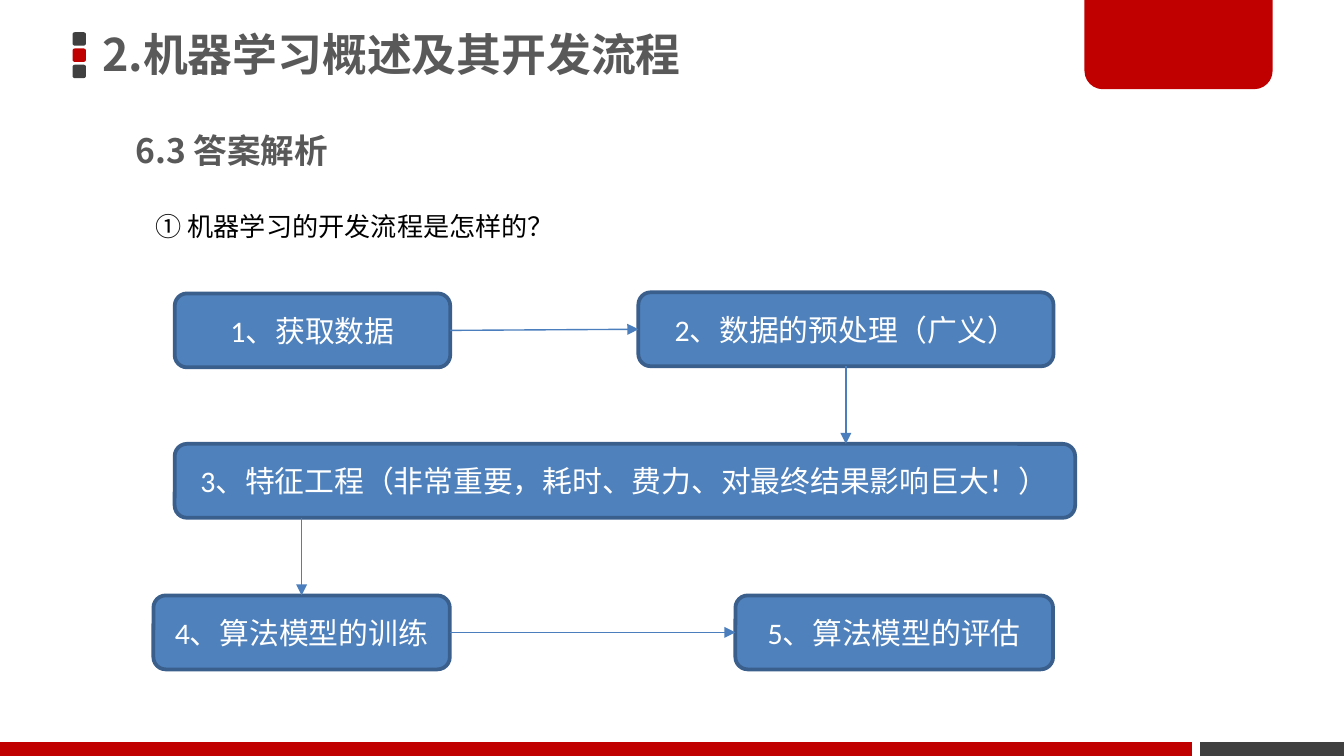
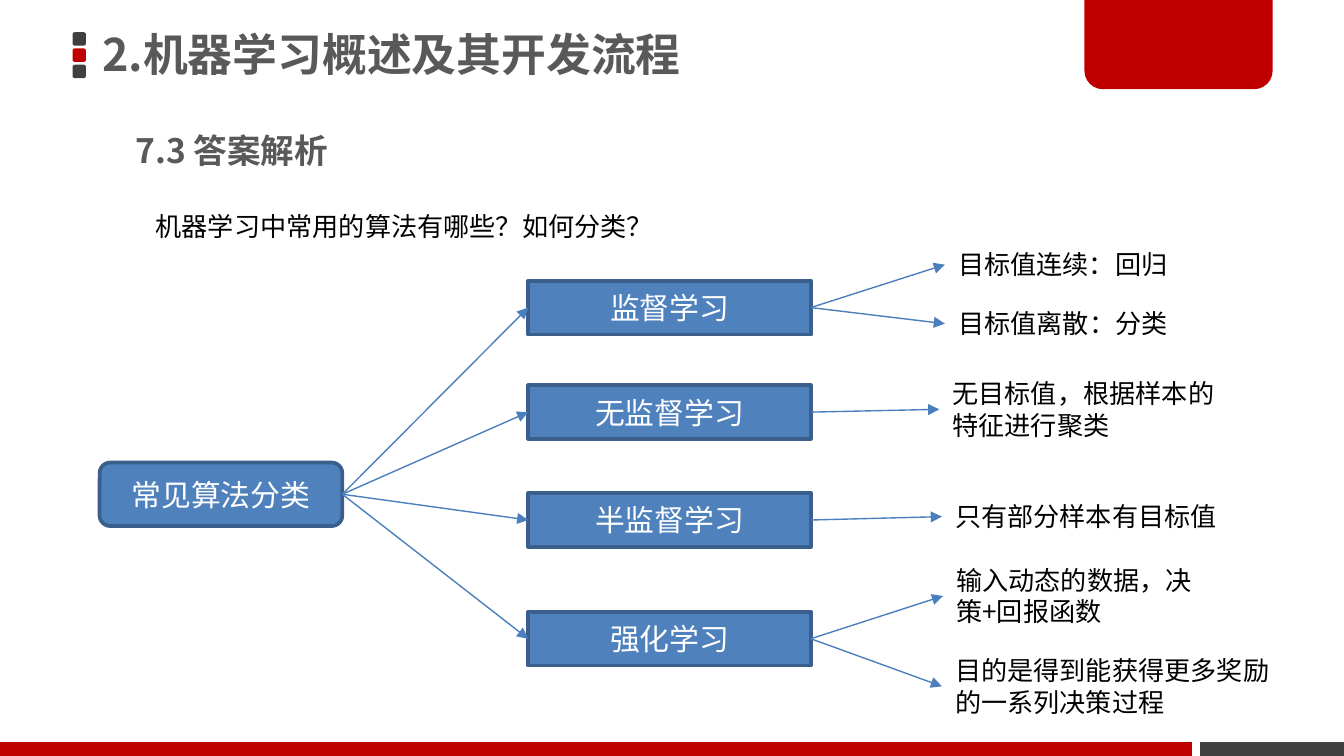
from dataclasses import dataclass
from typing import Optional

from lxml.etree import SubElement
from pptx import Presentation
from pptx.dml.color import RGBColor
from pptx.enum.shapes import MSO_CONNECTOR, MSO_SHAPE
from pptx.enum.text import MSO_ANCHOR, PP_ALIGN
from pptx.oxml.ns import qn
from pptx.shapes.base import BaseShape
from pptx.slide import Slide
from pptx.text.text import TextFrame
from pptx.util import Pt

COLORS = {
    "red": "C00000",
    "dark": "404040",
    "gray": "595959",
    "black": "000000",
    "white": "FFFFFF",
    "blue": "4F81BD",
    "edge": "3A5F8C",
    "arrow": "4B7EBC",
}
HAN = "Noto Sans CJK SC"
FONTS = {
    "title": {"size": Pt(24), "bold": True, "name": HAN},
    "head": {"size": Pt(18), "bold": True, "name": HAN},
    "note": {"size": Pt(14), "name": HAN},
    "node": {"size": Pt(16), "name": "Calibri"},
}
INKS = {"title": "gray", "head": "gray", "note": "black", "node": "white"}
TITLE = "2.机器学习概述及其开发流程"
TOP, LEFT, BOTTOM, RIGHT = range(4)


@dataclass
class Box:
    x: float
    y: float
    w: float
    h: float
    text: str = ""
    form: MSO_SHAPE = MSO_SHAPE.ROUNDED_RECTANGLE


@dataclass
class Deco:
    box: Box
    color: str
    bends: tuple[float, ...] = ()


@dataclass
class End:
    node: BaseShape
    side: int
    x: Optional[float] = None


@dataclass
class Branch:
    text: str
    y: float
    leaves: list[Box]


DECOS = [
    Deco(Box(38.9, 17.3 + 8.7 * row, 7.2, 7.2), color, (0.167,))
    for row, color in enumerate(("dark", "red", "dark"))
] + [
    Deco(Box(643, 397.6, 77, 7.4, form=MSO_SHAPE.RECTANGLE), "dark"),
    Deco(Box(581, -1.4, 100.8, 49.2, form=MSO_SHAPE.ROUND_2_SAME_RECTANGLE),
         "red", (0, 0.2)),
    Deco(Box(0, 397.6, 638.6, 7.4, form=MSO_SHAPE.RECTANGLE), "red"),
]

STEPS = [
    Box(93.6, 157.2, 147.6, 39.6, "1、获取数据"),
    Box(342, 156.6, 222.4, 39.6, "2、数据的预处理（广义）"),
    Box(93.6, 237.8, 482.4, 39.6,
        "3、特征工程（非常重要，耗时、费力、对最终结果影响巨大！）"),
    Box(82.2, 319, 158.8, 39.6, "4、算法模型的训练"),
    Box(394, 319, 170.2, 39.6, "5、算法模型的评估"),
]

ROOT = Box(53.4, 247.8, 130, 34, "常见算法分类")
TREE = [
    Branch("监督学习", 150.4, [
        Box(506.2, 129.6, 151.2, 24.4, "目标值连续：回归"),
        Box(506.2, 161.2, 161.2, 24.4, "目标值离散：分类"),
    ]),
    Branch("无监督学习", 206.4, [
        Box(503.2, 198.8, 157.6, 41, "无目标值，根据样本的特征进行聚类"),
    ]),
    Branch("半监督学习", 264.2, [
        Box(504.6, 264.6, 180.8, 24.4, "只有部分样本有目标值"),
    ]),
    Branch("强化学习", 327.8, [
        Box(505.2, 298.8, 146.2, 41, "输入动态的数据，决策+回报函数"),
        Box(504.6, 347.2, 189.4, 41, "目的是得到能获得更多奖励的一系列决策过程"),
    ]),
]


def tint(name: str) -> RGBColor:
    return RGBColor.from_string(COLORS[name])


def write(frame: TextFrame, text: str, style: str, align: PP_ALIGN) -> None:
    para = frame.paragraphs[0]
    para.alignment = align
    run = para.add_run()
    run.text = text
    for key, value in FONTS[style].items():
        setattr(run.font, key, value)
    run.font.color.rgb = tint(INKS[style])
    SubElement(run.font._element, qn("a:ea"), typeface=HAN)


def spot(box: Box) -> tuple[Pt, ...]:
    return tuple(Pt(size) for size in (box.x, box.y, box.w, box.h))


def shape(slide: Slide, box: Box, color: str) -> BaseShape:
    item = slide.shapes.add_shape(box.form, *spot(box))
    item.shadow.inherit = False
    item.fill.solid()
    item.fill.fore_color.rgb = tint(color)
    item.line.fill.background()
    return item


def node(slide: Slide, box: Box) -> BaseShape:
    item = shape(slide, box, "blue")
    item.line.color.rgb = tint("edge")
    item.line.width = Pt(2)
    item.text_frame.vertical_anchor = MSO_ANCHOR.MIDDLE
    write(item.text_frame, box.text, "node", PP_ALIGN.CENTER)
    return item


def label(slide: Slide, box: Box, style: str = "note",
          wrap: bool = True) -> BaseShape:
    item = slide.shapes.add_textbox(*spot(box))
    item.text_frame.word_wrap = wrap
    write(item.text_frame, box.text, style, PP_ALIGN.LEFT)
    return item


def point(end: End) -> tuple[int, int]:
    item = end.node
    mid = item.left + item.width // 2
    across = {LEFT: item.left, RIGHT: item.left + item.width}
    down = {TOP: item.top, BOTTOM: item.top + item.height}
    x = across.get(end.side, mid) if end.x is None else Pt(end.x)
    return x, down.get(end.side, item.top + item.height // 2)


def link(slide: Slide, start: End, stop: End) -> None:
    line = slide.shapes.add_connector(
        MSO_CONNECTOR.STRAIGHT, *point(start), *point(stop))
    for end, join in ((start, line.begin_connect), (stop, line.end_connect)):
        if end.x is None:
            join(end.node, end.side)
    line.line.color.rgb = tint("arrow")
    line.line.width = Pt(0.75)
    props = line._element.spPr
    SubElement(props.find(qn("a:ln")), qn("a:tailEnd"), type="triangle")
    SubElement(props, qn("a:effectLst"))


def page(deck: Presentation, head: str, ask: str, wide: float) -> Slide:
    slide = deck.slides.add_slide(deck.slide_layouts[5])
    for deco in DECOS:
        item = shape(slide, deco.box, deco.color)
        for index, bend in enumerate(deco.bends):
            item.adjustments[index] = bend
    title = slide.shapes.title
    place = spot(Box(49.7, -1.4, 424, 64))
    for key, value in zip(("left", "top", "width", "height"), place):
        setattr(title, key, value)
    frame = title.text_frame
    pads = {"margin_left": Pt(5), "margin_right": Pt(5),
            "margin_top": Pt(3), "margin_bottom": Pt(3),
            "vertical_anchor": MSO_ANCHOR.MIDDLE, "word_wrap": True}
    for key, value in pads.items():
        setattr(frame, key, value)
    write(frame, TITLE, "title", PP_ALIGN.LEFT)
    frame.paragraphs[0].line_spacing = 0.9
    label(slide, Box(65.5, 66.2, 276.5, 29), "head")if not head else label(
        slide, Box(65.5, 66.2, 276.5, 29, head), "head")
    label(slide, Box(76.3, 109.4, wide, 24.4, ask), wrap=False)
    return slide


def flow(deck: Presentation) -> None:
    slide = page(deck, "6.3 答案解析", "① 机器学习的开发流程是怎样的？", 230.4)
    data, clean, craft, train, test = [node(slide, box) for box in STEPS]
    link(slide, End(data, RIGHT), End(clean, LEFT))
    link(slide, End(train, RIGHT), End(test, LEFT))
    link(slide, End(clean, BOTTOM), End(craft, TOP, 453.2))
    link(slide, End(craft, BOTTOM, 161.6), End(train, TOP))


def tree(deck: Presentation) -> None:
    slide = page(deck, "7.3 答案解析",
                 "机器学习中常用的算法有哪些？如何分类？", 283)
    root = node(slide, ROOT)
    for branch in TREE:
        kind = node(slide, Box(283, branch.y, 151.4, 28.8, branch.text,
                               MSO_SHAPE.RECTANGLE))
        link(slide, End(root, RIGHT), End(kind, LEFT))
        for leaf in branch.leaves:
            link(slide, End(kind, RIGHT), End(label(slide, leaf), LEFT))


def main() -> None:
    deck = Presentation()
    deck.slide_width, deck.slide_height = Pt(720), Pt(405)
    flow(deck)
    tree(deck)
    deck.save("out.pptx")


if __name__ == "__main__":
    main()
